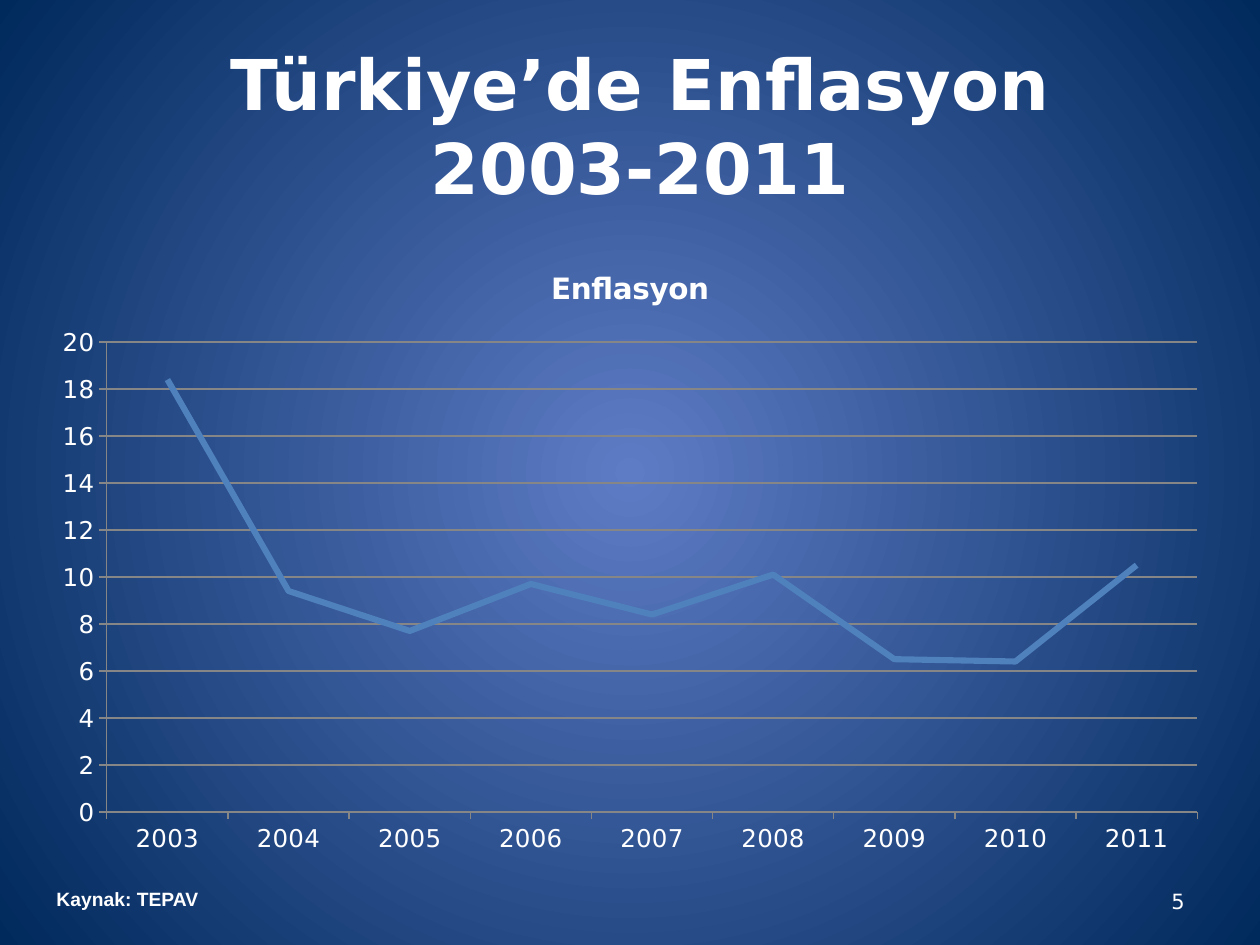
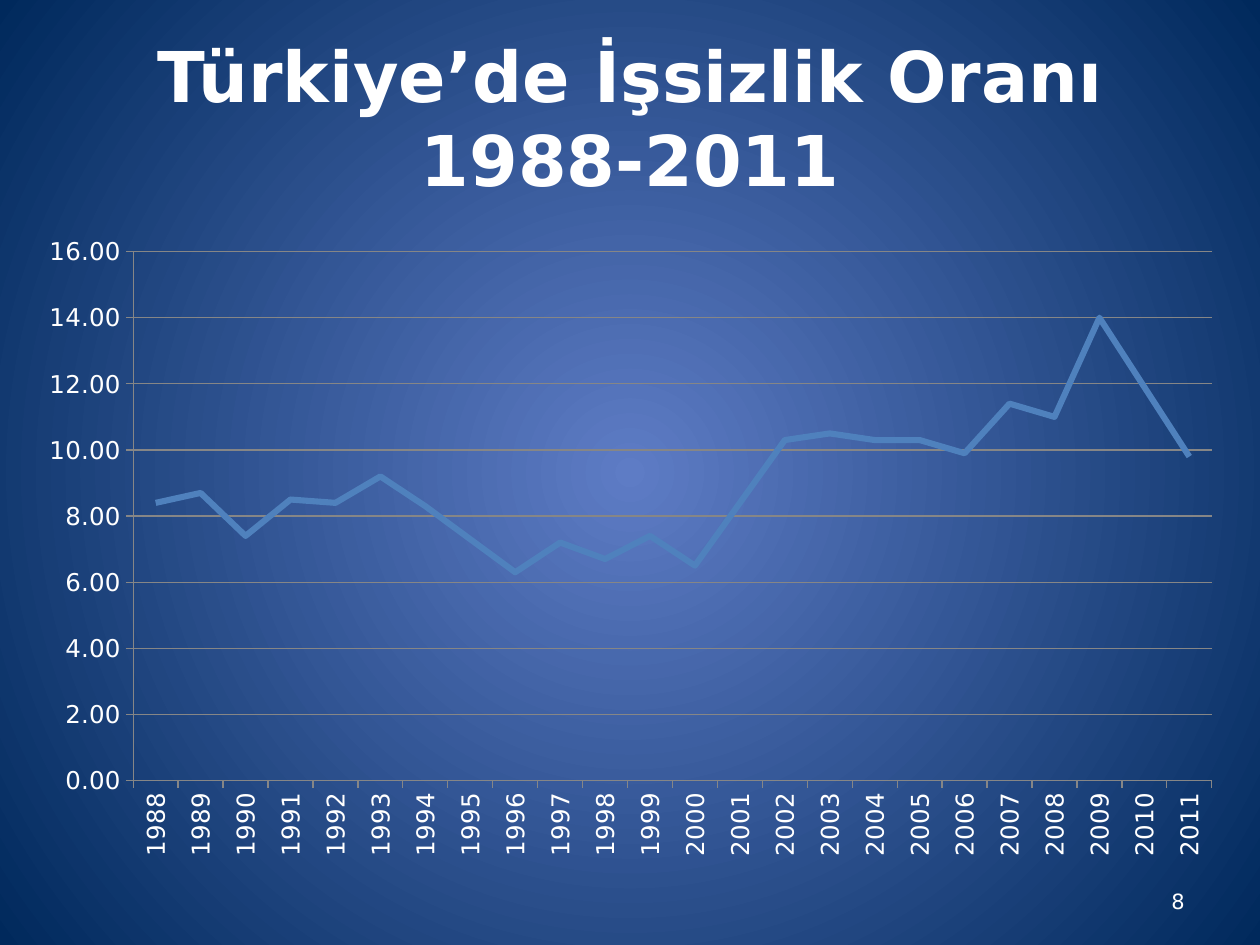
from lxml.etree import SubElement
from pptx import Presentation
from pptx.chart.data import CategoryChartData as ChartData
from pptx.dml.color import RGBColor as RGB
from pptx.enum.chart import XL_CHART_TYPE as Kind, XL_TICK_MARK as Tick
from pptx.enum.text import MSO_ANCHOR as Anchor, PP_ALIGN as Align
from pptx.oxml.ns import qn
from pptx.util import Inches, Pt

COLORS = {"text": "FFFFFF", "glow": "5E7CC5", "edge": "00295C",
          "line": "4F81BD", "grid": "868686"}
FONT = "DejaVu Sans"
RATES = [18.4, 9.4, 7.7, 9.7, 8.4, 10.1, 6.5, 6.4, 10.5]
JOBLESS = [8.4, 8.7, 7.4, 8.5, 8.4, 9.2, 8.3, 7.3, 6.3, 7.2, 6.7, 7.4,
           6.5, 8.4, 10.3, 10.5, 10.3, 10.3, 9.9, 11.4, 11, 14, 11.9, 9.8]


def color(name):
    return RGB.from_string(COLORS[name])


class Deck:
    def __init__(self):
        self.prs = Presentation()
        self.prs.slide_width = Inches(10)
        self.prs.slide_height = Inches(7.5)
        self.slide = None

    def style(self, font, size, bold=False, face=FONT):
        font.name = face
        font.size = Pt(size)
        font.bold = bold
        font.color.rgb = color("text")

    def place(self, shape, box):
        shape.left, shape.top, shape.width, shape.height = map(Inches, box)

    def start(self, title, box, number):
        self.slide = self.prs.slides.add_slide(self.prs.slide_layouts[5])
        self.glow()
        head = self.slide.shapes.title
        self.place(head, box)
        self.set_text(head, title, 40, True, Align.CENTER)
        self.label(str(number), (7.17, 6.95, 2.33, 0.4), 12, align=Align.RIGHT)

    def glow(self):
        fill = self.slide.background.fill
        fill.gradient()
        for stop, name in zip(fill.gradient_stops, ("glow", "edge")):
            stop.color.rgb = color(name)
        lin = next(self.slide.element.iter(qn("a:lin")))
        grad = lin.getparent()
        grad.remove(lin)
        ring = SubElement(grad, qn("a:path"), {"path": "circle"})
        sides = dict.fromkeys("ltrb", "50000")
        SubElement(ring, qn("a:fillToRect"), sides)

    def set_text(self, shape, text, size, bold=False, align=Align.LEFT,
                 face=FONT, anchor=Anchor.MIDDLE):
        frame = shape.text_frame
        frame.word_wrap = True
        frame.vertical_anchor = anchor
        frame.text = text
        for para in frame.paragraphs:
            para.alignment = align
            for run in para.runs:
                self.style(run.font, size, bold, face)

    def label(self, text, box, size, **look):
        shape = self.slide.shapes.add_textbox(*map(Inches, box))
        self.set_text(shape, text, size, **look)

    def chart(self, name, first, values, box, form="General", title=False,
              turn=None):
        data = ChartData(number_format=form)
        data.categories = [str(first + i) for i in range(len(values))]
        data.add_series(name, values)
        chart = self.slide.shapes.add_chart(
            Kind.LINE, *map(Inches, box), data).chart
        self.style(chart.font, 14)
        chart.has_legend = False
        chart.has_title = title
        if title:
            frame = chart.chart_title.text_frame
            frame.text = name
            self.style(frame.paragraphs[0].runs[0].font, 16.8, True)
        plot = chart.plots[0]
        plot.vary_by_categories = False
        line = plot.series[0]
        line.smooth = False
        line.format.line.color.rgb = color("line")
        line.format.line.width = Pt(3.5)
        years, scale = chart.category_axis, chart.value_axis
        for axis in (years, scale):
            axis.major_tick_mark = Tick.OUTSIDE
            axis.minor_tick_mark = Tick.NONE
            self.rule(axis.format.line)
            self.style(axis.tick_labels.font, 14)
        scale.has_major_gridlines = True
        self.rule(scale.major_gridlines.format.line)
        scale.tick_labels.number_format = form
        scale.tick_labels.number_format_is_linked = False
        scale.minimum_scale = 0
        scale.major_unit = 2
        if turn is not None:
            body = next(years._element.iter(qn("a:bodyPr")))
            body.set("rot", str(turn * 60000))
            body.set("vert", "horz")

    def rule(self, line):
        line.color.rgb = color("grid")
        line.width = Pt(0.75)


def main():
    deck = Deck()
    deck.start("Türkiye’de Enflasyon\v2003-2011", (0.83, 0.36, 8.5, 1.25), 5)
    deck.label("Kaynak: TEPAV", (0.35, 6.99, 3.54, 0.29), 11, bold=True,
               face="Arial", anchor=Anchor.TOP)
    deck.chart("Enflasyon", 2003, RATES, (0.31, 1.95, 9.38, 4.92), title=True)
    deck.start("Türkiye’de İşsizlik Oranı\v1988-2011", (0.5, 0.3, 9, 1.25), 8)
    deck.chart("Series 1", 1988, JOBLESS, (0.2, 1.78, 9.61, 5.12),
               form="0.00", turn=-90)
    deck.prs.save("out.pptx")


if __name__ == "__main__":
    main()
